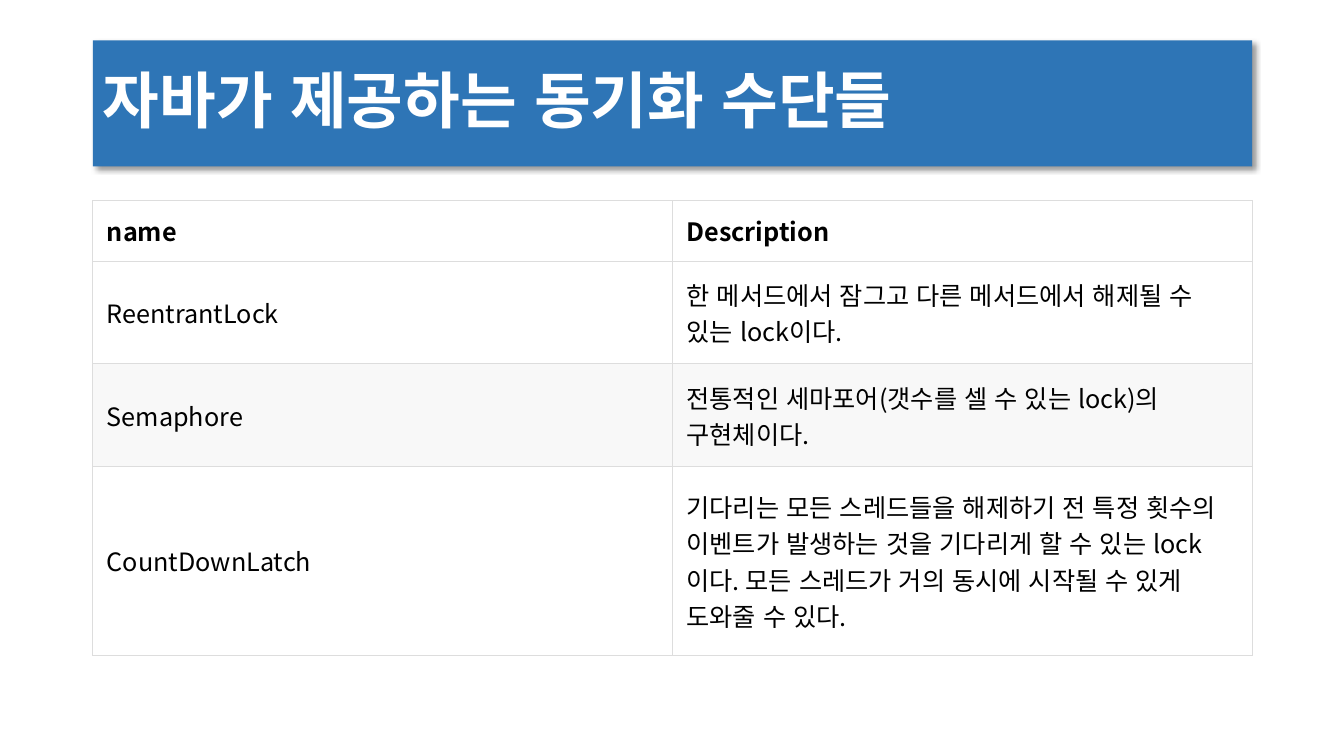
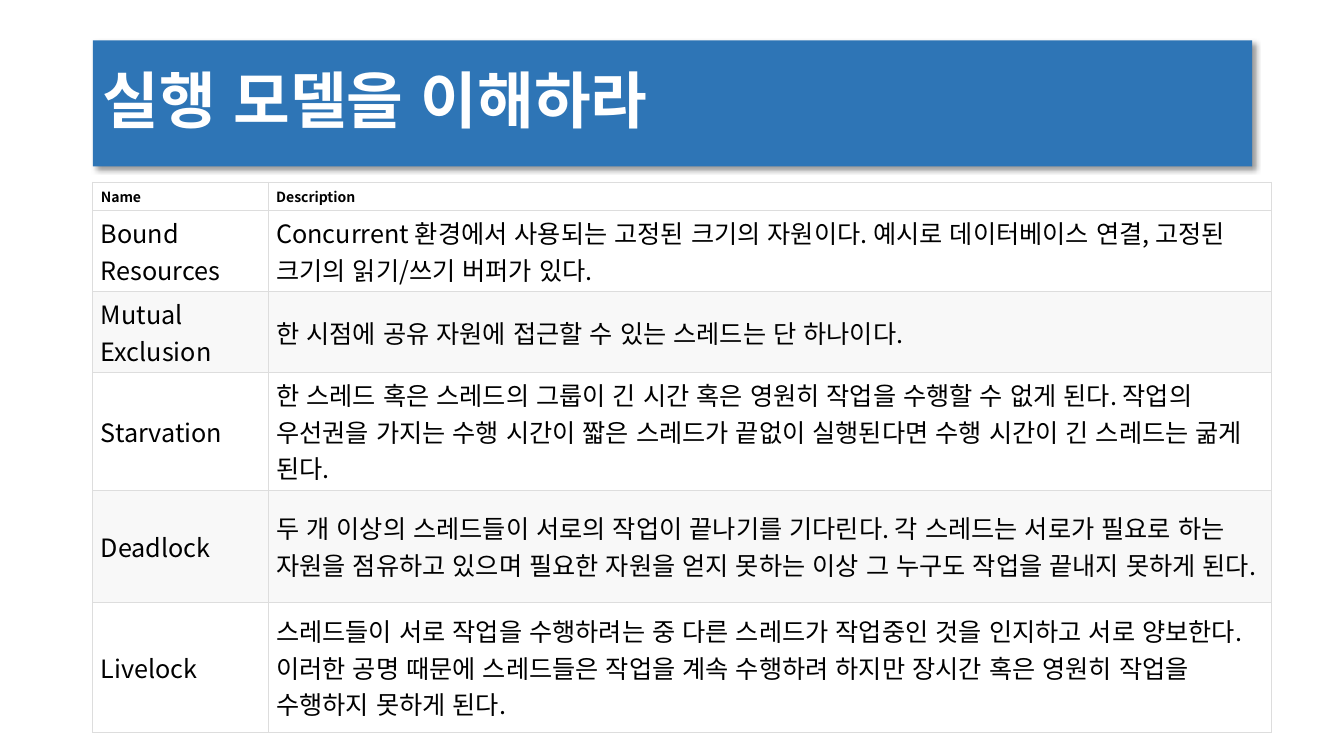
import pptx
import pptx.dml.color
import pptx.enum.lang
import pptx.enum.text
import pptx.oxml
import pptx.oxml.ns
import pptx.util

PX = 9144
FONT = "Noto Sans CJK KR"
BLUE, WHITE, BLACK = "2E75B6", "FFFFFF", "000000"
STRIPE, RULE = "F8F8F8", "DDDDDD"
LEFT, BAND_TOP, BAND_W, BAND_H = 92, 40, 1150, 125

LOCKS = [
    ("name", "Description"),
    ("ReentrantLock", "한 메서드에서 잠그고 다른 메서드에서 해제될 수 있는 lock이다."),
    ("Semaphore", "전통적인 세마포어(갯수를 셀 수 있는 lock)의 구현체이다."),
    ("CountDownLatch",
     "기다리는 모든 스레드들을 해제하기 전 특정 횟수의 이벤트가 발생하는 것을 기다리게 할 수 있는 lock이다. "
     "모든 스레드가 거의 동시에 시작될 수 있게 도와줄 수 있다."),
]
MODELS = [
    ("Name", "Description"),
    ("Bound Resources",
     "Concurrent 환경에서 사용되는 고정된 크기의 자원이다. "
     "예시로 데이터베이스 연결, 고정된 크기의 읽기/쓰기 버퍼가 있다."),
    ("Mutual Exclusion", "한 시점에 공유 자원에 접근할 수 있는 스레드는 단 하나이다."),
    ("Starvation",
     "한 스레드 혹은 스레드의 그룹이 긴 시간 혹은 영원히 작업을 수행할 수 없게 된다. "
     "작업의 우선권을 가지는 수행 시간이 짧은 스레드가 끝없이 실행된다면 수행 시간이 긴 스레드는 굶게 된다."),
    ("Deadlock",
     "두 개 이상의 스레드들이 서로의 작업이 끝나기를 기다린다. "
     "각 스레드는 서로가 필요로 하는 자원을 점유하고 있으며 필요한 자원을 얻지 못하는 이상 "
     "그 누구도 작업을 끝내지 못하게 된다."),
    ("Livelock",
     "스레드들이 서로 작업을 수행하려는 중 다른 스레드가 작업중인 것을 인지하고 서로 양보한다. "
     "이러한 공명 때문에 스레드들은 작업을 계속 수행하려 하지만 장시간 혹은 영원히 작업을 수행하지 못하게 된다."),
]


def px(n):
    return pptx.util.Emu(n * PX)


def rgb(color):
    return pptx.dml.color.RGBColor.from_string(color)


def xml(markup):
    ns = pptx.oxml.ns.nsdecls("a")
    return pptx.oxml.parse_xml(markup.replace(">", f" {ns}>", 1))


def set_fill(target, color):
    target.fill.solid()
    target.fill.fore_color.rgb = rgb(color)


def set_text(tf, text, size=18, color=BLACK, bold=False, spacing=None):
    p = tf.paragraphs[0]
    p.alignment = pptx.enum.text.PP_ALIGN.LEFT
    p.line_spacing = spacing
    r = p.add_run()
    r.text = text
    font = r.font
    font.size = pptx.util.Pt(size)
    font.bold = bold
    font.name = FONT
    font.language_id = pptx.enum.lang.MSO_LANGUAGE_ID.KOREAN
    font.color.rgb = rgb(color)
    r._r.get_or_add_rPr().find(pptx.oxml.ns.qn("a:latin")).addnext(
        xml(f'<a:ea typeface="{FONT}"></a:ea>'))


def add_shadow(sp, color=BLACK, alpha=40, blur=4, dist=3, angle=45):
    sp._element.spPr.append(xml(
        f'<a:effectLst><a:outerShdw blurRad="{blur * 12700}" dist="{dist * 12700}"'
        f' dir="{angle * 60000}" algn="tl" rotWithShape="0"><a:srgbClr val="{color}">'
        f'<a:alpha val="{alpha * 1000}"/></a:srgbClr></a:outerShdw></a:effectLst>'))


def add_titled_slide(prs, title):
    slide = prs.slides.add_slide(prs.slide_layouts[5])
    sp = slide.shapes.title
    sp.left, sp.top, sp.width, sp.height = map(px, (LEFT, BAND_TOP, BAND_W, BAND_H))
    set_fill(sp, BLUE)
    add_shadow(sp)
    tf = sp.text_frame
    tf.word_wrap = True
    tf.auto_size = pptx.enum.text.MSO_AUTO_SIZE.NONE
    tf.vertical_anchor = pptx.enum.text.MSO_ANCHOR.MIDDLE
    set_text(tf, title, size=44, color=WHITE, bold=True, spacing=0.9)
    return slide


def set_borders(cell, color, width=0.75):
    tcPr = cell._tc.get_or_add_tcPr()
    for side in ("lnL", "lnR", "lnT", "lnB"):
        tcPr.append(xml(
            f'<a:{side} w="{pptx.util.Pt(width)}"><a:solidFill><a:srgbClr val="{color}"/>'
            f'</a:solidFill></a:{side}>'))


def add_table(slide, rows, top, widths, heights, pad_x, pad_y, header_size=18):
    table = slide.shapes.add_table(
        len(rows), len(widths), px(LEFT), px(top), px(sum(widths)), px(sum(heights))).table
    for column, width in zip(table.columns, widths):
        column.width = px(width)
    for i, (texts, height) in enumerate(zip(rows, heights)):
        table.rows[i].height = px(height)
        header = i == 0
        for j, text in enumerate(texts):
            cell = table.cell(i, j)
            cell.margin_left = cell.margin_right = px(pad_x)
            cell.margin_top = cell.margin_bottom = px(pad_y)
            cell.vertical_anchor = pptx.enum.text.MSO_ANCHOR.MIDDLE
            set_borders(cell, RULE)
            set_fill(cell, STRIPE if i and i % 2 == 0 else WHITE)
            set_text(cell.text_frame, text, size=header_size if header else 18, bold=header)


def main():
    prs = pptx.Presentation()
    prs.slide_width, prs.slide_height = px(1333), px(750)
    slide = add_titled_slide(prs, "자바가 제공하는 동기화 수단들")
    add_table(slide, LOCKS, 199, (575, 575), (60, 102, 102, 187), pad_x=14, pad_y=6)
    slide = add_titled_slide(prs, "실행 모델을 이해하라")
    add_table(slide, MODELS, 181, (174, 995), (25, 77, 42, 111, 111, 129),
              pad_x=8, pad_y=4, header_size=10)
    prs.save("out.pptx")


if __name__ == "__main__":
    main()
